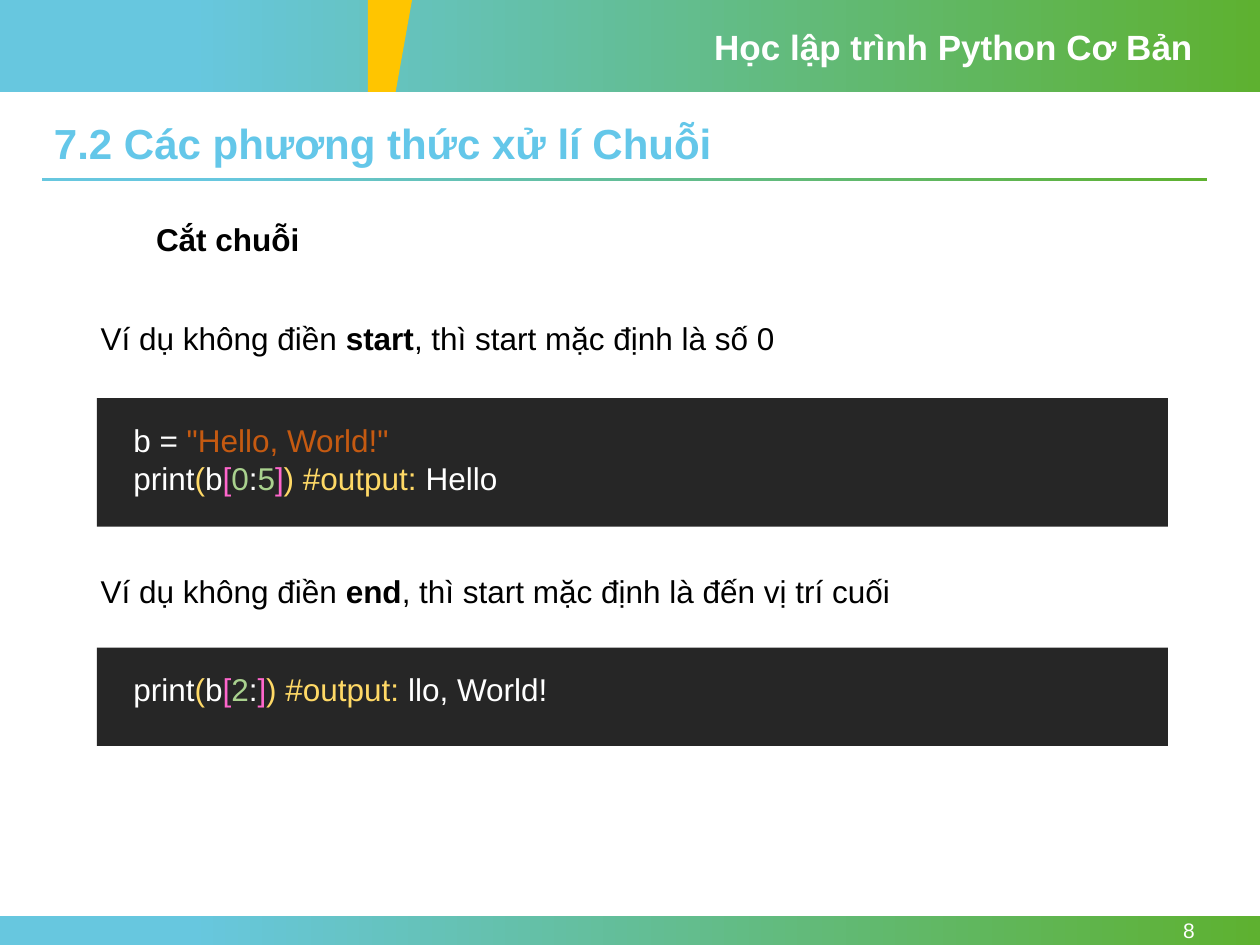
from dataclasses import dataclass

from pptx import Presentation
from pptx.dml.color import RGBColor
from pptx.enum.shapes import MSO_SHAPE
from pptx.enum.text import MSO_ANCHOR, MSO_AUTO_SIZE, PP_ALIGN
from pptx.util import Inches, Pt

RECTANGLE = MSO_SHAPE.RECTANGLE
MIDDLE = MSO_ANCHOR.MIDDLE
GROW = MSO_AUTO_SIZE.SHAPE_TO_FIT_TEXT
RIGHT = PP_ALIGN.RIGHT


@dataclass(frozen=True)
class Theme:
    font: str = "Arial"
    title_size: int = 24
    header_size: int = 20
    body_size: int = 18
    number_size: int = 12
    white: str = "FFFFFF"
    ink: str = "000000"
    title: str = "64C7E9"
    accent: str = "FFC500"
    code_fill: str = "262626"
    string: str = "C55A11"
    paren: str = "FFD966"
    bracket: str = "FF66CC"
    number: str = "A9D18E"
    gradient: tuple = ((0.15, "67C7DF"), (1, "5EB130"))


class SlideBuilder:
    def __init__(self, page, theme):
        self.page = page
        self.theme = theme

    def finish(self, shape, color):
        shape.shadow.inherit = False
        shape.line.fill.background()
        shape.fill.solid()
        shape.fill.fore_color.rgb = RGBColor.from_string(color)

    def rectangle(self, left, top, width, height, color):
        box = self.page.shapes.add_shape(
            RECTANGLE, Inches(left), Inches(top), Inches(width), Inches(height))
        self.finish(box, color)
        return box

    def gradient_band(self, left, top, width, height):
        fill = self.rectangle(left, top, width, height, self.theme.white).fill
        fill.gradient()
        fill.gradient_angle = 0
        for stop, (position, color) in zip(fill.gradient_stops, self.theme.gradient):
            stop.position = position
            stop.color.rgb = RGBColor.from_string(color)

    def polygon(self, points, color):
        corners = [(Inches(x), Inches(y)) for x, y in points]
        outline = self.page.shapes.build_freeform(*corners[0])
        outline.add_line_segments(corners[1:], close=True)
        self.finish(outline.convert_to_shape(), color)

    def text(self, left, top, width, height, lines, size, color=None, bold=None):
        """Write lines of (text, colour, bold) spans in one paragraph."""
        box = self.page.shapes.add_textbox(
            Inches(left), Inches(top), Inches(width), Inches(height))
        frame = box.text_frame
        frame.word_wrap = True
        frame.auto_size = GROW
        para = frame.paragraphs[0]
        para.font.name = self.theme.font
        para.font.size = Pt(size)
        para.font.bold = bold
        if color:
            para.font.color.rgb = RGBColor.from_string(color)
        for index, spans in enumerate(lines):
            if index:
                para.add_line_break()
            for words, span_color, span_bold in spans:
                span = para.add_run()
                span.text = words
                if span_color:
                    span.font.color.rgb = RGBColor.from_string(span_color)
                if span_bold:
                    span.font.bold = True
        return frame

    def label(self, left, top, width, height, words, size, color, bold=None):
        return self.text(left, top, width, height, [[(words, None, None)]],
                         size, color, bold)

    def explanation(self, top, keyword, ending):
        spans = [("Ví dụ không điền ", None, None), (keyword, None, True),
                 (ending, None, None)]
        self.text(0.7, top, 8.57, 0.4, [spans], self.theme.body_size, self.theme.ink)

    def code_block(self, top, height, text_height, lines):
        self.rectangle(0.77, top, 8.5, height, self.theme.code_fill)
        spans = [[(words, color, None) for words, color in line] for line in lines]
        self.text(0.96, top + 0.13, 8.1, text_height, spans, self.theme.body_size)


def print_slice(theme, indexes, output):
    """Coloured spans of a print call that slices b."""
    return [("print", theme.white), ("(", theme.paren), ("b", theme.white),
            ("[", theme.bracket), *indexes, ("]", theme.bracket),
            (") #output: ", theme.paren), (output, theme.white)]


def main():
    theme = Theme()
    deck = Presentation()
    deck.slide_width, deck.slide_height = Inches(10), Inches(7.5)
    slide = SlideBuilder(deck.slides.add_slide(deck.slide_layouts[6]), theme)

    # Header, footer and title rule
    slide.gradient_band(0, 0, 10, 0.73)
    slide.gradient_band(0, 7.27, 10, 0.23)
    slide.label(5.57, 0.15, 4, 0.44, "Học lập trình Python Cơ Bản",
                theme.header_size, theme.white, True)
    slide.gradient_band(0.33, 1.41, 9.25, 0.03)
    slide.polygon([(2.92, 0), (3.27, 0), (3.14, 0.73), (2.92, 0.73)], theme.accent)

    # Page number
    number = slide.label(8.66, 7.27, 0.92, 0.23, "8", theme.number_size, theme.white)
    number.auto_size = MSO_AUTO_SIZE.NONE
    number.vertical_anchor = MIDDLE
    number.paragraphs[0].alignment = RIGHT

    # Title and subtitle
    title = slide.label(0.33, 0.93, 9.25, 0.46, "7.2 Các phương thức xử lí Chuỗi",
                        theme.title_size, theme.title, True)
    title.paragraphs[0].line_spacing = 0.9
    slide.label(1.14, 1.7, 7.03, 0.4, "Cắt chuỗi", theme.body_size, theme.ink, True)

    # Slice without a start
    colon = (":", theme.white)
    slide.explanation(2.48, "start", ", thì start mặc định là số 0")
    slide.code_block(3.16, 1.02, 0.71, [
        [("b = ", theme.white), ('"Hello, World!"', theme.string)],
        print_slice(theme, [("0", theme.number), colon, ("5", theme.number)], "Hello"),
    ])

    # Slice without an end
    slide.explanation(4.49, "end", ", thì start mặc định là đến vị trí cuối")
    slide.code_block(5.14, 0.78, 0.4, [
        print_slice(theme, [("2", theme.number), colon], "llo, World!"),
    ])

    deck.save("out.pptx")


if __name__ == "__main__":
    main()
